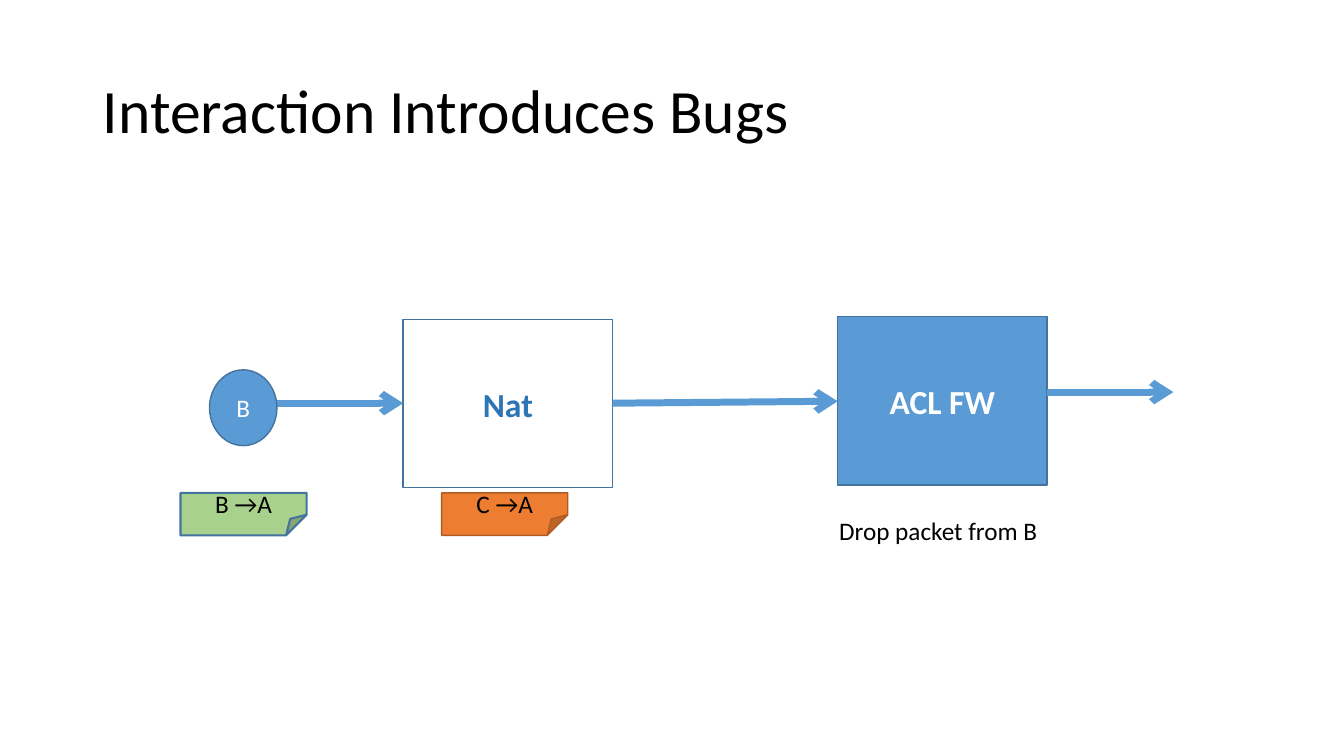
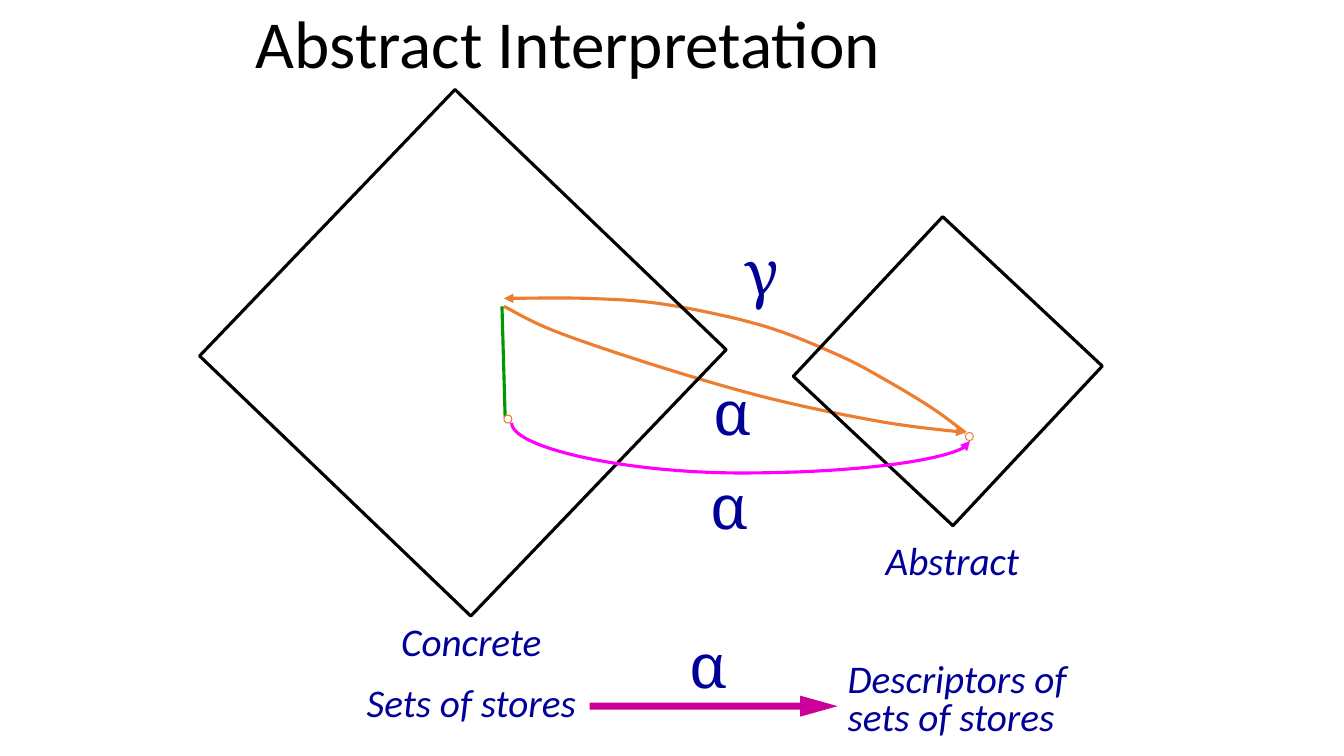
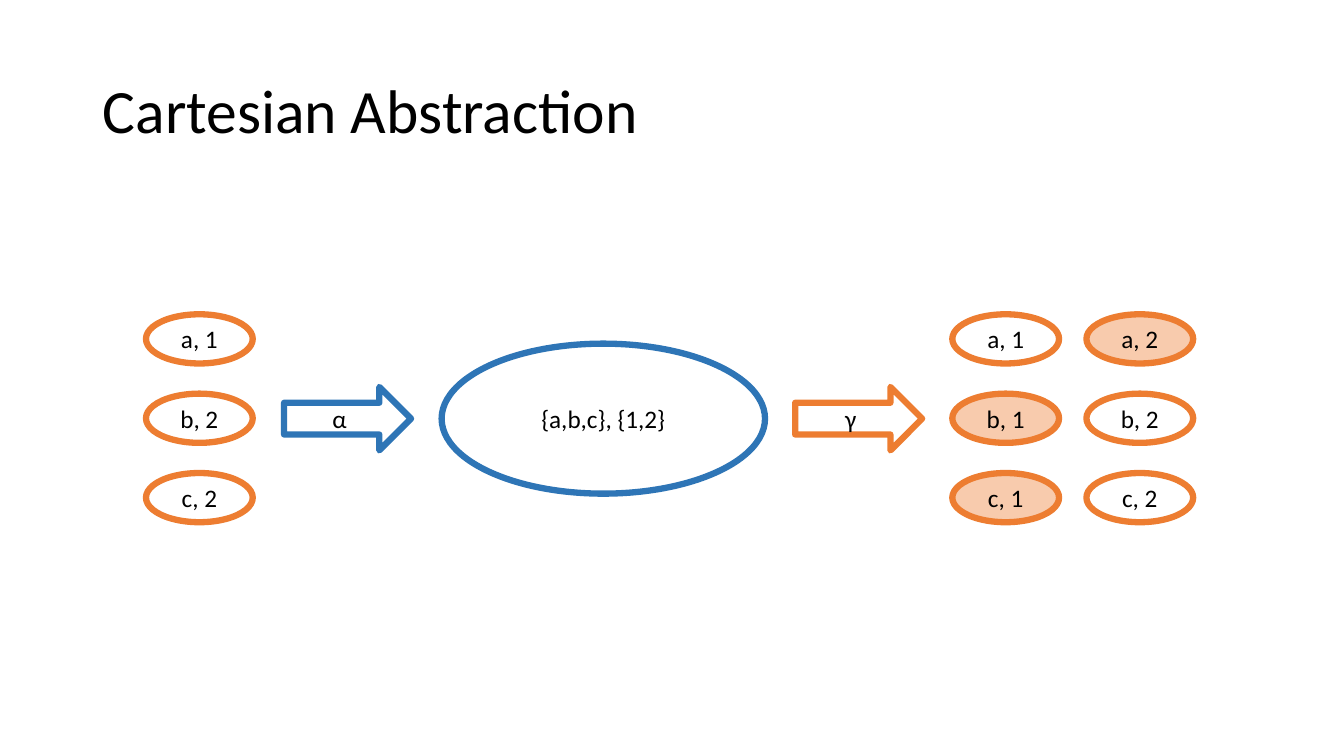
"""Build three slides on packet filters and abstract interpretation."""
import lxml.etree
import pptx
import pptx.dml.color
import pptx.enum.shapes
import pptx.enum.text
import pptx.oxml.ns
import pptx.util

Cm = pptx.util.Cm
RGB = pptx.dml.color.RGBColor
SHAPE = pptx.enum.shapes.MSO_SHAPE
JOIN = pptx.enum.shapes.MSO_CONNECTOR
ALIGN = pptx.enum.text.PP_ALIGN
ANCHOR = pptx.enum.text.MSO_ANCHOR
qn = pptx.oxml.ns.qn

BLACK = RGB(0x00, 0x00, 0x00)
WHITE = RGB(0xFF, 0xFF, 0xFF)
BLUE = RGB(0x5B, 0x9B, 0xD5)
STEEL = RGB(0x43, 0x73, 0x9E)
DEEP = RGB(0x2E, 0x75, 0xB6)
NAVY = RGB(0x00, 0x00, 0x99)
ORANGE = RGB(0xED, 0x7D, 0x31)
RUST = RGB(0xAF, 0x5C, 0x24)
PEACH = RGB(0xF8, 0xCB, 0xAD)
LEAF = RGB(0xA9, 0xD1, 0x8E)
GREEN = RGB(0x00, 0x99, 0x00)
PINK = RGB(0xFF, 0x00, 0xFF)
PLUM = RGB(0xCC, 0x00, 0x99)


def put(page, text, box, kind=None, fill=None, line=None, weight=1, size=18,
        color=BLACK, font="Calibri", bold=False, italic=False,
        align=ALIGN.CENTER, anchor=ANCHOR.MIDDLE, space=None, wrap=True,
        turn=0, adjust=()):
    """Place text in a plain box, or in a preset shape when kind is given."""
    place = [Cm(n) for n in box]
    if kind is None:
        shape = page.shapes.add_textbox(*place)
    else:
        shape = page.shapes.add_shape(kind, *place)
        shape.shadow.inherit = False
        shape.rotation = turn
        guides = shape._element.spPr.find(qn("a:prstGeom")).find(qn("a:avLst"))
        for name, value in adjust:
            lxml.etree.SubElement(guides, qn("a:gd"), name=name, fmla=f"val {value}")
        if fill is None:
            shape.fill.background()
        else:
            shape.fill.solid()
            shape.fill.fore_color.rgb = fill
        if line is None:
            shape.line.fill.background()
        else:
            shape.line.color.rgb = line
            shape.line.width = pptx.util.Pt(weight)
    frame = shape.text_frame
    frame.word_wrap = wrap
    frame.vertical_anchor = anchor
    frame.text = text
    for para in frame.paragraphs:
        para.alignment = align
        para.line_spacing = space
        for run in para.runs:
            run.font.name = font
            run.font.size = pptx.util.Pt(size)
            run.font.color.rgb = color
            run.font.bold = bold
            run.font.italic = italic


def stroke(item, color, weight, head=None):
    """Style a line or open path, with an arrowhead at its end if named."""
    item.line.color.rgb = color
    item.line.width = pptx.util.Pt(weight)
    props = item._element.spPr
    if head:
        lxml.etree.SubElement(props.find(qn("a:ln")), qn("a:tailEnd"), type=head)
    lxml.etree.SubElement(props, qn("a:effectLst"))


deck = pptx.Presentation()
deck.slide_width, deck.slide_height = Cm(33.87), Cm(19.05)
pages = [deck.slides.add_slide(deck.slide_layouts[6]) for _ in range(3)]
bugs, lattice, product = pages

HIGH = (2.34, 1.02, 29.21, 3.68)
for page, text, box, size in [
    (bugs, "Interaction Introduces Bugs", HIGH, 44),
    (lattice, "Abstract Interpretation", (6.2, 0, 21.59, 2.34), 48),
    (product, "Cartesian Abstraction", HIGH, 44),
]:
    put(page, text, box, size=size, align=ALIGN.LEFT, space=0.9)

put(bugs, "Nat", (10.16, 8.05, 5.28, 4.24), SHAPE.RECTANGLE, line=STEEL,
    size=24, color=DEEP, bold=True)
put(bugs, "ACL FW", (21.11, 7.98, 5.28, 4.24), SHAPE.RECTANGLE, fill=BLUE,
    line=STEEL, size=24, color=WHITE, bold=True)
for ends in [(6.99, 10.16, 10.16, 10.16), (15.44, 10.16, 21.11, 10.11),
             (26.39, 9.88, 29.57, 9.88)]:
    link = bugs.shapes.add_connector(JOIN.STRAIGHT, *[Cm(n) for n in ends])
    stroke(link, BLUE, 5, "arrow")
put(bugs, "B", (5.28, 9.32, 1.7, 1.91), SHAPE.OVAL, fill=BLUE, line=STEEL,
    color=WHITE)
for text, left, fill, line, weight in [("B →A", 4.55, LEAF, STEEL, 1.5),
                                       ("C →A", 11.13, ORANGE, RUST, 1)]:
    put(bugs, text, (left, 12.42, 3.18, 1.07), SHAPE.FOLDED_CORNER, fill=fill,
        line=line, weight=weight, adjust=[("adj", 48400)])
put(bugs, "Drop packet from B", (20.9, 12.85, 9.32, 1.02), align=ALIGN.LEFT,
    anchor=ANCHOR.TOP)

STEPS = 8
for knots in [
    [(12.7, 7.72), (14.02, 8.36), (16.71, 9.27), (19.48, 10.06),
     (22.28, 10.64), (24.33, 10.9)],
    [(24.33, 10.9), (23.5, 10.29), (22.33, 9.58), (21.11, 8.94),
     (19.2, 8.2), (16.76, 7.67), (14.81, 7.52), (12.7, 7.52)],
]:
    chain = [knots[0], *knots, knots[-1]]
    points = []
    for quad in zip(chain, chain[1:], chain[2:], chain[3:]):
        for step in range(1, STEPS + 1):
            t = step / STEPS
            points.append([
                Cm(b + t * (c - a) / 2 + t ** 2 * (2 * a - 5 * b + 4 * c - d) / 2
                   + t ** 3 * (3 * b - a - 3 * c + d) / 2)
                for a, b, c, d in zip(*quad)])
    pen = lattice.shapes.build_freeform(*[Cm(n) for n in knots[0]])
    pen.add_line_segments(points, close=False)
    curve = pen.convert_to_shape()
    curve.fill.background()
    stroke(curve, ORANGE, 2.25, "triangle")

for box, turn in [((21.13, 6.6, 5.51, 5.51), 43.1),
                  ((6.93, 4.24, 9.47, 9.3), 43.8)]:
    put(lattice, "", box, SHAPE.RECTANGLE, line=BLACK, weight=2.25, turn=turn)

edge = lattice.shapes.add_connector(
    JOIN.STRAIGHT, Cm(12.65), Cm(7.72), Cm(12.73), Cm(10.52))
stroke(edge, GREEN, 2.25)
for left, top in [(12.7, 10.46), (24.33, 10.9)]:
    put(lattice, "", (left, top, 0.2, 0.2), SHAPE.OVAL, fill=WHITE,
        line=ORANGE, weight=0.75)

bow = lattice.shapes.add_connector(
    JOIN.CURVE, Cm(18.9), Cm(5.11), Cm(18.44), Cm(16.66))
props = bow._element.spPr
props.find(qn("a:xfrm")).set("rot", str(270 * 60000))
guides = props.find(qn("a:prstGeom")).find(qn("a:avLst"))
lxml.etree.SubElement(guides, qn("a:gd"), name="adj1", fmla="val 274800")
stroke(bow, PINK, 2.25, "triangle")

for text, box, kind, space in [
    ("Abstract", (22.07, 13.39, 3.91, 1.45), None, None),
    ("Concrete", (9.86, 15.44, 4.11, 1.45), None, None),
    ("Sets of stores", (8.99, 16.97, 5.84, 1.45), SHAPE.RECTANGLE, None),
    ("Descriptors of\nsets of stores", (21.11, 16.59, 6.17, 2.16),
     SHAPE.RECTANGLE, 0.8),
]:
    put(lattice, text, box, kind, fill=WHITE, size=28, color=NAVY, italic=True,
        align=ALIGN.LEFT, anchor=ANCHOR.TOP, space=space, wrap=False)
put(lattice, "", (14.86, 17.53, 6.25, 0.53), SHAPE.RIGHT_ARROW, fill=PLUM,
    adjust=[("adj1", 33300), ("adj2", 178300)])
for text, left, top, width in [("α", 17.73, 9.3, 1.3), ("γ", 18.52, 5.77, 1.14),
                               ("α", 17.63, 11.66, 1.5), ("α", 17.09, 15.67, 1.5)]:
    put(lattice, text, (left, top, width, 2.11), size=44, color=NAVY,
        font="Cambria", wrap=False)

PAIRS = ["a, 1", "b, 2", "c, 2"]
for left, names in [(3.68, PAIRS), (24, ["a, 1", "b, 1", "c, 1"]),
                    (27.38, ["a, 2", "b, 2", "c, 2"])]:
    for row, name in enumerate(names):
        put(product, name, (left, 7.92 + 2 * row, 2.69, 1.24), SHAPE.OVAL,
            fill=WHITE if name in PAIRS else PEACH, line=ORANGE, weight=4.5)
put(product, "{a,b,c}, {1,2}", (11.13, 8.66, 8.15, 3.78), SHAPE.OVAL,
    fill=WHITE, line=DEEP, weight=4.5)
for text, left, line in [("α", 7.16, DEEP), ("γ", 20.04, ORANGE)]:
    put(product, text, (left, 9.75, 3.2, 1.6), SHAPE.RIGHT_ARROW, fill=WHITE,
        line=line, weight=4.5)

deck.save("out.pptx")
